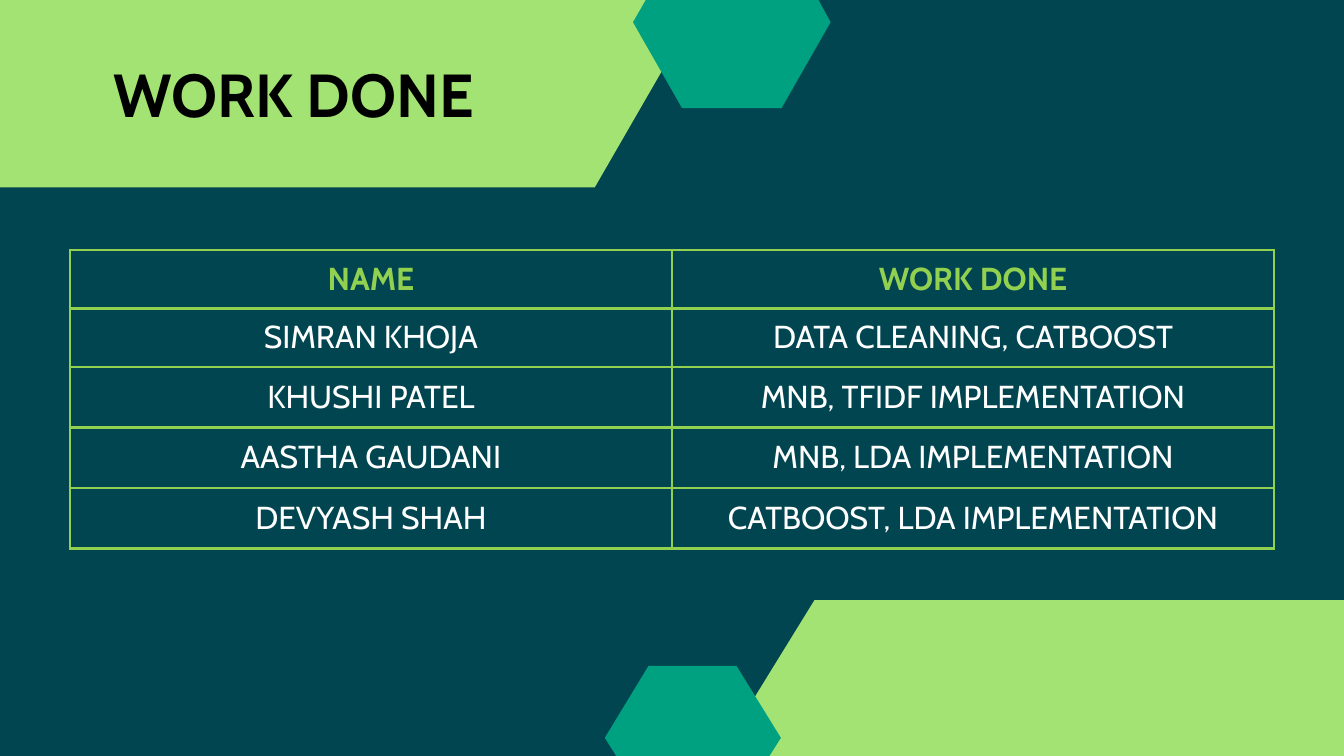
from dataclasses import dataclass

from lxml import etree
from pptx import Presentation
from pptx.dml.color import RGBColor
from pptx.enum.text import MSO_ANCHOR, MSO_AUTO_SIZE, PP_ALIGN
from pptx.oxml.ns import qn
from pptx.util import Emu, Pt

PX = 9144  # EMU per px, 100 px to the inch
CENTER = PP_ALIGN.CENTER
TOP, MIDDLE = MSO_ANCHOR.TOP, MSO_ANCHOR.MIDDLE
GROW = MSO_AUTO_SIZE.SHAPE_TO_FIT_TEXT
TITLE_ONLY = 5


@dataclass(frozen=True)
class Theme:
    font: str = "Cabin"
    background: str = "004550"
    band: str = "A3E373"
    hexagon: str = "00A181"
    accent: str = "92D050"
    dark: str = "000000"
    light: str = "FFFFFF"
    title_size: int = 65
    table_size: int = 34
    border: int = 3


THEME = Theme()

TABLE_ROWS = [
    ("NAME", "WORK DONE"),
    ("SIMRAN KHOJA", "DATA CLEANING, CATBOOST"),
    ("KHUSHI PATEL", "MNB, TFIDF IMPLEMENTATION"),
    ("AASTHA GAUDANI", "MNB, LDA IMPLEMENTATION"),
    ("DEVYASH SHAH", "CATBOOST, LDA IMPLEMENTATION"),
]
ROW_HEIGHTS = [87, 87, 90, 90, 90]


def px(value):
    return Emu(value * PX)


def set_all(target, values):
    for name, value in values.items():
        setattr(target, name, value)


def write(frame, text, size, color, bold):
    """Fill a text frame with one centred line."""
    para = frame.paragraphs[0]
    set_all(para, {"alignment": CENTER, "line_spacing": 1.0})
    span = para.add_run()
    span.text = text
    set_all(span.font, {"name": THEME.font, "size": Pt(size), "bold": bold})
    span.font.color.rgb = RGBColor.from_string(color)


def add_polygon(page, box, points, color):
    """Draw a filled outline whose points are relative to the box."""
    left, top = box[:2]
    placed = [(left + x, top + y) for x, y in points]
    builder = page.shapes.build_freeform(*placed[0], scale=PX)
    builder.add_line_segments(placed[1:], close=True)
    shape = builder.convert_to_shape()
    shape.shadow.inherit = False
    shape.fill.solid()
    shape.fill.fore_color.rgb = RGBColor.from_string(color)
    shape.line.fill.background()


def add_top_corner(page, box):
    """Band and cropped hexagon at the upper left."""
    add_polygon(page, box, [(0, 0), (1046, 0), (885, 279), (0, 279)], THEME.band)
    hexagon = [(961, 0), (1218, 0), (1236, 33), (1163, 161), (1015, 161), (942, 33)]
    add_polygon(page, box, hexagon, THEME.hexagon)


def add_bottom_corner(page, box):
    """Band and cropped hexagon at the lower right."""
    band = [(169, 232), (312, 0), (1100, 0), (1100, 232)]
    add_polygon(page, box, band, THEME.band)
    hexagon = [(65, 98), (196, 98), (262, 205), (245, 232), (17, 232), (0, 205)]
    add_polygon(page, box, hexagon, THEME.hexagon)


def add_title(page, box, text):
    """Move the title placeholder into the box, in front of the band."""
    title = page.shapes.title
    title.element.getparent().append(title.element)
    set_all(title, dict(zip(("left", "top", "width", "height"), map(px, box))))
    frame = title.text_frame
    set_all(frame, {
        "margin_left": 0, "margin_top": px(1), "margin_right": 0, "margin_bottom": 0,
        "word_wrap": True, "vertical_anchor": TOP, "auto_size": GROW,
    })
    write(frame, text, THEME.title_size, THEME.dark, True)


def add_borders(cell):
    properties = cell._tc.get_or_add_tcPr()
    for side in ("a:lnL", "a:lnR", "a:lnT", "a:lnB"):
        line = etree.SubElement(properties, qn(side), w=str(Pt(THEME.border)))
        fill = etree.SubElement(line, qn("a:solidFill"))
        etree.SubElement(fill, qn("a:srgbClr"), val=THEME.accent)


def add_work_table(page, box):
    """Outlined table with an accent heading row."""
    columns = len(TABLE_ROWS[0])
    table = page.shapes.add_table(len(TABLE_ROWS), columns, *map(px, box)).table
    set_all(table, {"first_row": False, "horz_banding": False})
    for column in table.columns:
        column.width = px(box[2] // columns)
    for row, height in zip(table.rows, ROW_HEIGHTS):
        row.height = px(height)
    margins = {f"margin_{side}": px(10) for side in ("left", "top", "right", "bottom")}
    for r, texts in enumerate(TABLE_ROWS):
        heading = r == 0
        color = THEME.accent if heading else THEME.light
        for c, text in enumerate(texts):
            cell = table.cell(r, c)
            set_all(cell, {**margins, "vertical_anchor": MIDDLE})
            add_borders(cell)
            cell.fill.background()
            write(cell.text_frame, text, THEME.table_size, color, heading)


def main():
    deck = Presentation()
    set_all(deck, {"slide_width": px(2000), "slide_height": px(1125)})
    page = deck.slides.add_slide(deck.slide_layouts[TITLE_ONLY])
    page.background.fill.solid()
    page.background.fill.fore_color.rgb = RGBColor.from_string(THEME.background)

    add_top_corner(page, (0, 0, 1236, 279))
    add_title(page, (84, 84, 706, 111), "WORK DONE")
    add_work_table(page, (104, 372, 1792, sum(ROW_HEIGHTS)))
    add_bottom_corner(page, (900, 893, 1100, 232))
    deck.save("out.pptx")


if __name__ == "__main__":
    main()
